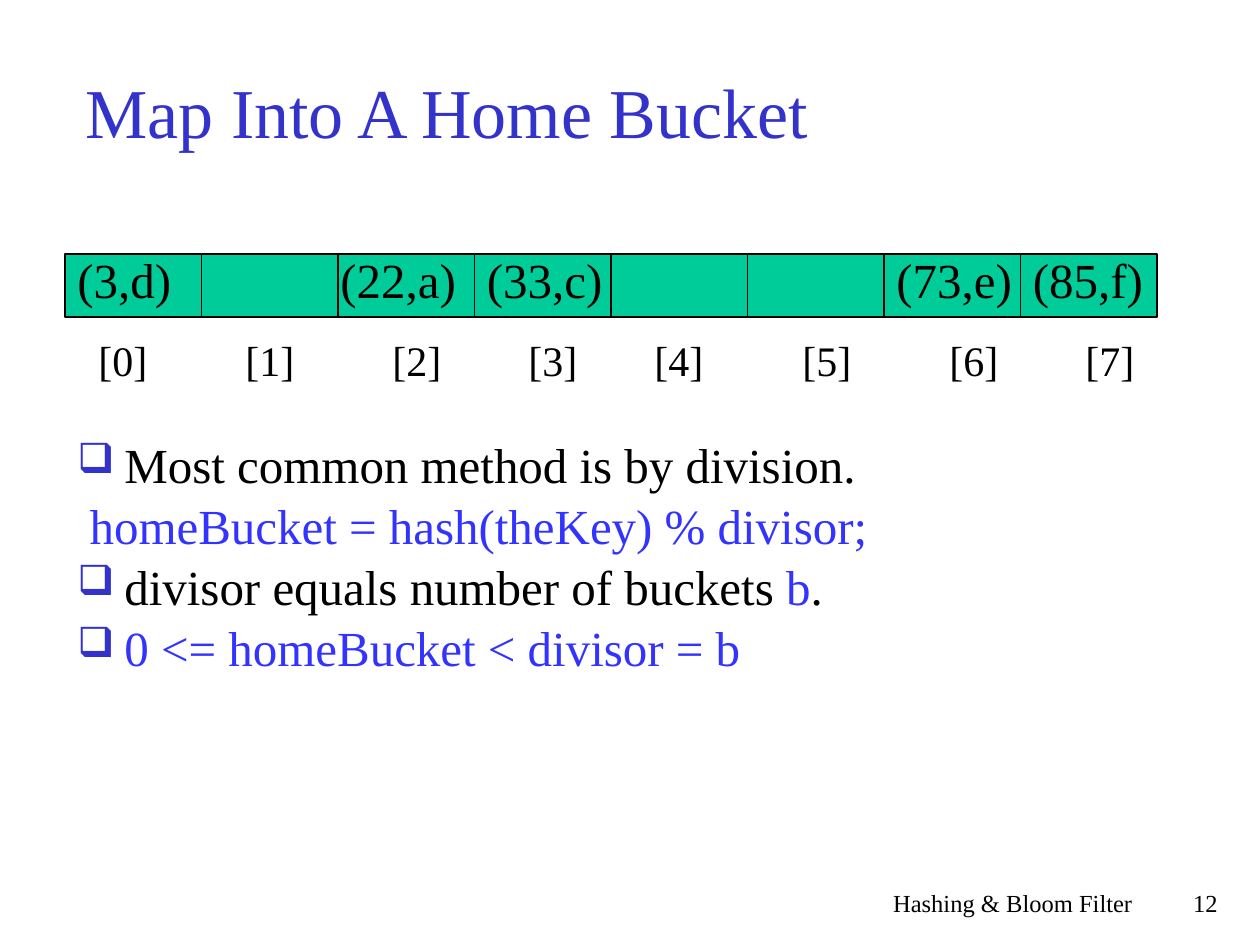
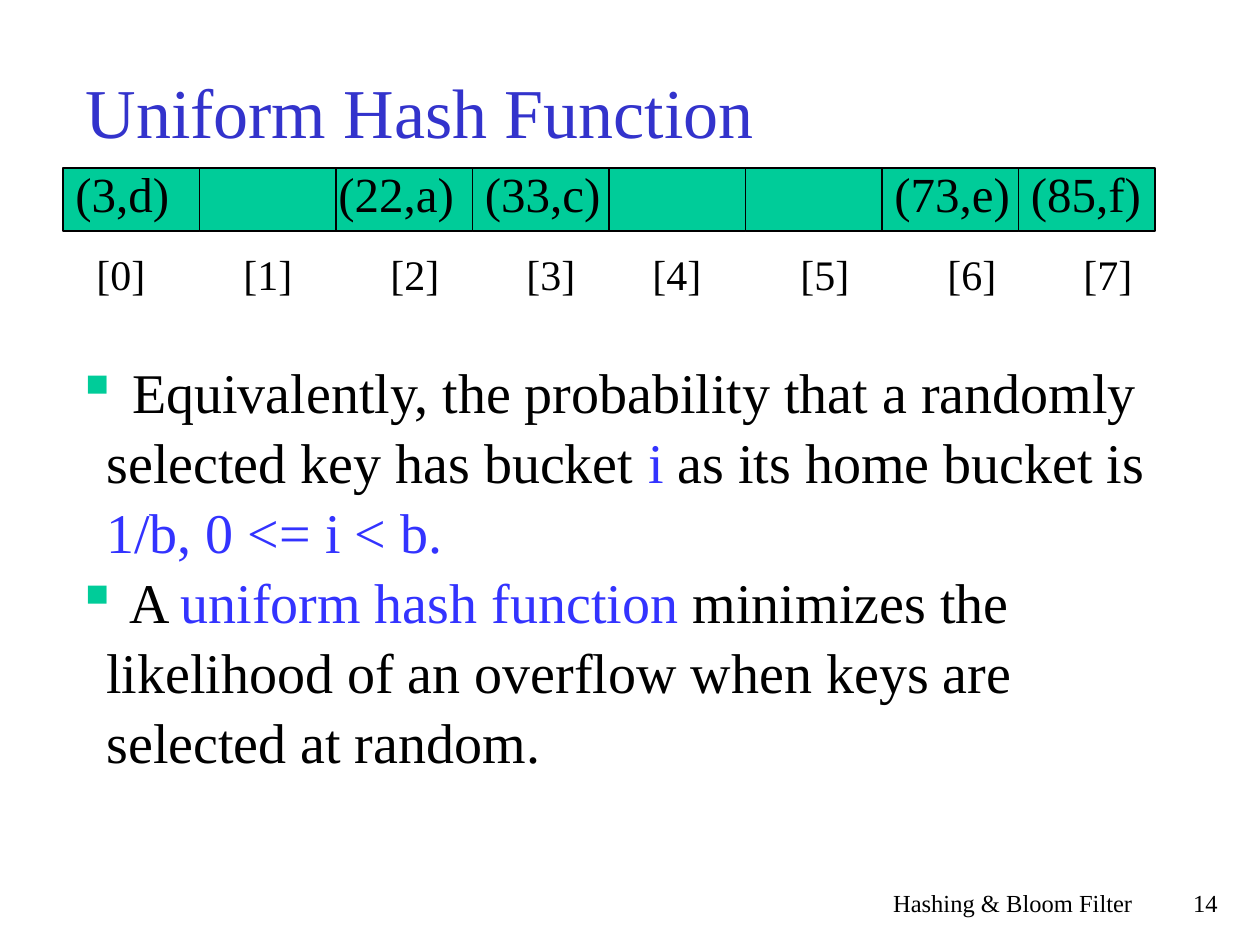
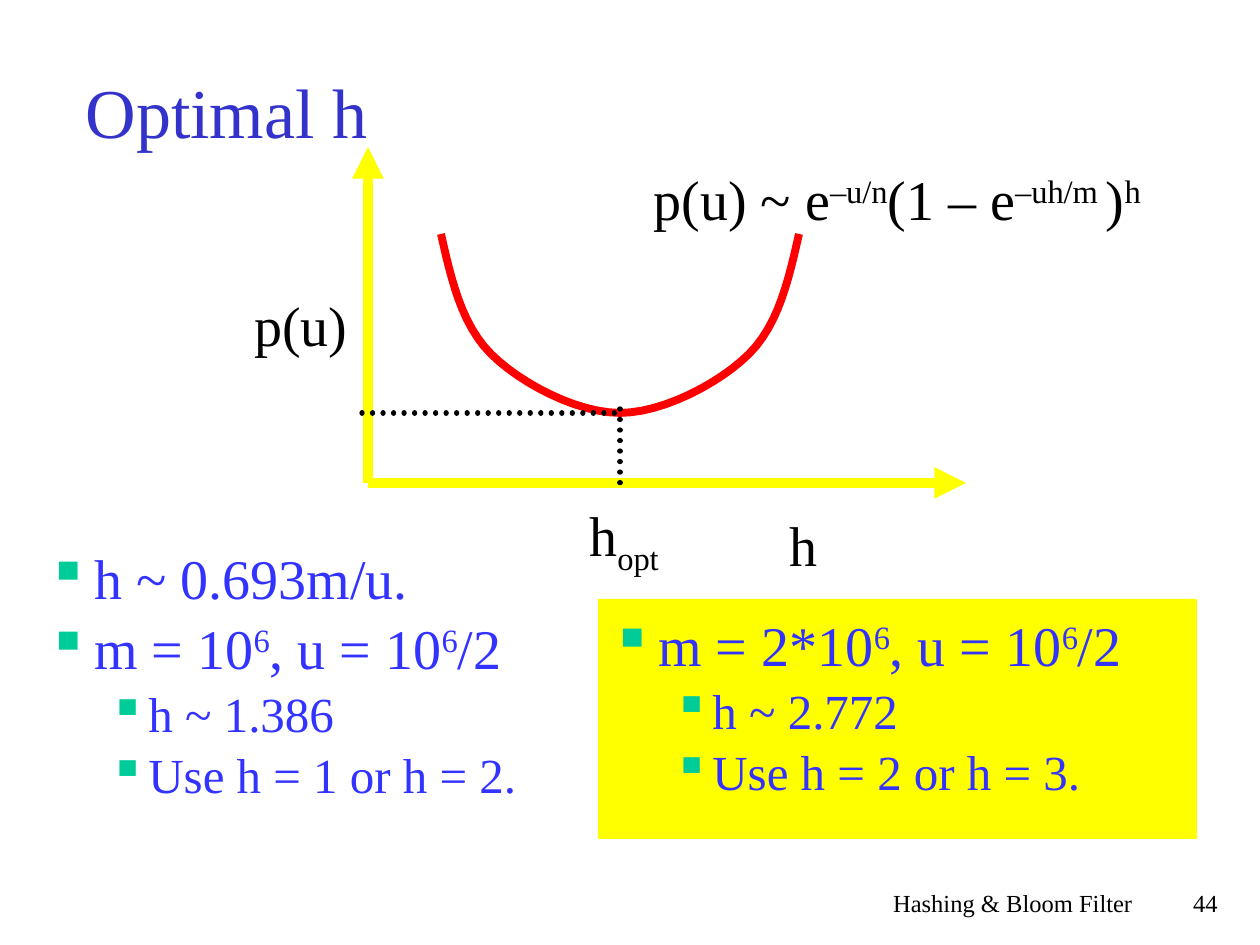
from lxml import etree
from pptx import Presentation
from pptx.dml.color import RGBColor
from pptx.enum.dml import MSO_LINE
from pptx.enum.shapes import MSO_CONNECTOR, MSO_SHAPE
from pptx.enum.text import MSO_ANCHOR, MSO_AUTO_SIZE, PP_ALIGN
from pptx.oxml.ns import qn
from pptx.util import Pt

RECTANGLE = MSO_SHAPE.RECTANGLE
STRAIGHT = MSO_CONNECTOR.STRAIGHT
ROUND_DOT = MSO_LINE.ROUND_DOT
TOP, MIDDLE = MSO_ANCHOR.TOP, MSO_ANCHOR.MIDDLE
LEFT, RIGHT = PP_ALIGN.LEFT, PP_ALIGN.RIGHT
NO_AUTOFIT = MSO_AUTO_SIZE.NONE

EMU_PER_PIXEL = 914400 / 126
FONT = "Times New Roman"
BLACK, WHITE, YELLOW, RED = "000000", "FFFFFF", "FFFF00", "FF0000"
TITLE_BLUE, TEXT_BLUE, GREEN = "3333CC", "3333FF", "00CC99"

TITLE_BOX = (73, 32, 1071, 157)
FOOTER_BOX = (746, 882, 399, 63)
NUMBER_BOX = (1144, 882, 86, 63)
FOOTER = "Hashing & Bloom Filter"
LINE_SPACING = 1.045
BODY_INSET_TOP = 9

STYLES = {
    "division": dict(left=48, hang=47, bullet="❑", colour=TITLE_BLUE, percent=85),
    "formula": dict(left=48, hang=47, bullet=None),
    "uniform": dict(left=30, hang=30, bullet="▪", colour=GREEN),
    "main": dict(left=48, hang=47, bullet="▪", colour=GREEN),
    "sub": dict(left=102, hang=39, bullet="▪", colour=GREEN, level=1),
}

BUCKET_COUNT, BUCKET_ROW_WIDTH, BUCKET_HEIGHT = 8, 1092, 63
ENTRIES = [(0, "(3,d)", 0), (2, "(22,a)", -10), (3, "(33,c)", 0),
           (6, "(73,e)", 0), (7, "(85,f)", 0)]
INDEX_OFFSETS = [21, 168, 315, 451, 577, 725, 872, 1008]

DIVISION_TEXT = [
    ("division", 28, [("Most common method is by division.", BLACK)]),
    ("formula", 28, [(" homeBucket = hash(theKey) % divisor;", TEXT_BLUE)]),
    ("division", 28, [("divisor equals number of buckets ", BLACK),
                      ("b", TEXT_BLUE), (".", BLACK)]),
    ("division", 28, [("0 <= homeBucket < divisor = b", TEXT_BLUE)]),
]
UNIFORM_TEXT = [
    ("uniform", 32, [
        (" Equivalently, the probability that a randomly selected key has bucket ", BLACK),
        ("i", TEXT_BLUE), (" as its home bucket is ", BLACK),
        ("1/b, 0 <= i < b.", TEXT_BLUE)]),
    ("uniform", 32, [
        (" A ", BLACK), ("uniform hash function", TEXT_BLUE),
        (" minimizes the likelihood of an overflow when keys are selected at random.", BLACK)]),
]


def example(bits, estimate, choice):
    return [
        ("main", 32, [(bits, TEXT_BLUE), ("6", TEXT_BLUE, 30), (", u = 10", TEXT_BLUE),
                      ("6", TEXT_BLUE, 30), ("/2", TEXT_BLUE)]),
        ("sub", 28, [(estimate, TEXT_BLUE)]),
        ("sub", 28, [(choice, TEXT_BLUE)]),
    ]


OPTIMUM = [("main", 32, [("h ~ 0.693m/u.", TEXT_BLUE)])]
PANELS = [
    ((34, 532, 536, 301), WHITE,
     OPTIMUM + example("m = 10", "h ~ 1.386", "Use h = 1 or h = 2.")),
    ((598, 599, 599, 240), YELLOW,
     example("m = 2*10", "h ~ 2.772", "Use h = 2 or h = 3.")),
]
PLOT_LABELS = [
    ((777, 504, 105, 79), [("h", BLACK)], True),
    ((242, 284, 136, 79), [("p(u)", BLACK)], True),
    ((577, 494, 105, 88), [("h", BLACK), ("opt", BLACK, -25)], True),
    ((641, 158, 513, 79), [("p(u) ~ e", BLACK), ("–u/n", BLACK, 30), ("(1 – e", BLACK),
                           ("–uh/m ", BLACK, 30), (")", BLACK), ("h", BLACK, 30)], False),
]
ORIGIN = (368, 483)
AXIS_TIPS = [(368, 147), (966, 483)]
MINIMUM = (620, 413)
GUIDES = [((620, 409), (620, 483)), ((362, 413), MINIMUM)]
FALLING_CURVES = [
    [(441, 234), (451, 278), (461, 324), (491, 354)],
    [(491, 354), (520, 383), (577, 413), MINIMUM],
]
CURVE_STEPS = 12


def px(pixels):
    return round(pixels * EMU_PER_PIXEL)


def rgb(value):
    return RGBColor.from_string(value)


def format_run(run, size, colour, baseline=0):
    run.font.name = FONT
    run.font.size = Pt(size)
    run.font.color.rgb = rgb(colour)
    if baseline:
        run.font._element.set("baseline", str(baseline * 1000))


def fill_paragraph(paragraph, size, pieces):
    for text, *look in pieces:
        run = paragraph.add_run()
        run.text = text
        format_run(run, size, *look)


def add_label(slide, box, size, pieces, align=LEFT, wrap=True):
    frame = slide.shapes.add_textbox(*map(px, box)).text_frame
    frame.word_wrap = wrap
    frame.paragraphs[0].alignment = align
    fill_paragraph(frame.paragraphs[0], size, pieces)


def add_bullet(paragraph, left, hang, bullet, colour=None, percent=100, level=0):
    paragraph.level = level
    properties = paragraph._p.get_or_add_pPr()
    properties.set("marL", str(px(left)))
    properties.set("indent", str(-px(hang)))
    if not bullet:
        etree.SubElement(properties, qn("a:buNone"))
        return
    bullet_colour = etree.SubElement(properties, qn("a:buClr"))
    etree.SubElement(bullet_colour, qn("a:srgbClr"), val=colour)
    etree.SubElement(properties, qn("a:buSzPct"), val=str(percent * 1000))
    etree.SubElement(properties, qn("a:buChar"), char=bullet)


def fill_body(frame, paragraphs):
    frame.word_wrap = True
    frame.vertical_anchor = TOP
    frame.margin_top = px(BODY_INSET_TOP)
    for position, (style, size, pieces) in enumerate(paragraphs):
        paragraph = frame.add_paragraph() if position else frame.paragraphs[0]
        paragraph.alignment = LEFT
        paragraph.line_spacing = LINE_SPACING
        add_bullet(paragraph, **STYLES[style])
        fill_paragraph(paragraph, size, pieces)


def add_rectangle(slide, box, fill, outline=None):
    rectangle = slide.shapes.add_shape(RECTANGLE, *map(px, box))
    rectangle.shadow.inherit = False
    rectangle.fill.solid()
    rectangle.fill.fore_color.rgb = rgb(fill)
    if outline:
        rectangle.line.color.rgb = rgb(outline)
        rectangle.line.width = Pt(1)
    else:
        rectangle.line.fill.background()
    return rectangle


def add_line(slide, start, end, colour, width, dotted=False, arrow=False):
    connector = slide.shapes.add_connector(STRAIGHT, *map(px, start + end))
    connector.line.color.rgb = rgb(colour)
    connector.line.width = Pt(width)
    properties = connector.element.spPr
    outline = properties.find(qn("a:ln"))
    if dotted:
        connector.line.dash_style = ROUND_DOT
        outline.set("cap", "rnd")
    if arrow:
        etree.SubElement(outline, qn("a:tailEnd"), type="triangle")
    etree.SubElement(properties, qn("a:effectLst"))


def add_slide(deck, heading, number):
    slide = deck.slides.add_slide(deck.slide_layouts[5])
    title = slide.shapes.title
    title.left, title.top, title.width, title.height = map(px, TITLE_BOX)
    frame = title.text_frame
    frame.text = heading
    frame.auto_size = NO_AUTOFIT
    frame.vertical_anchor = MIDDLE
    frame.paragraphs[0].alignment = LEFT
    format_run(frame.paragraphs[0].runs[0], 40, TITLE_BLUE)
    add_label(slide, NUMBER_BOX, 14, [(str(number), BLACK)], RIGHT)
    add_label(slide, FOOTER_BOX, 14, [(FOOTER, BLACK)], RIGHT)
    return slide


def add_body(slide, box, paragraphs):
    fill_body(slide.shapes.add_textbox(*map(px, box)).text_frame, paragraphs)


def add_buckets(slide, left, top):
    bucket_width = BUCKET_ROW_WIDTH / BUCKET_COUNT
    for index, offset in enumerate(INDEX_OFFSETS):
        add_rectangle(slide, (left + index * bucket_width, top, bucket_width, BUCKET_HEIGHT),
                      GREEN, BLACK)
        add_label(slide, (left + offset, top + 74, 94, 63), 24, [(f"[{index}]", BLACK)])
    for index, entry, shift in ENTRIES:
        add_label(slide, (left + index * bucket_width + shift, top - 11, 168, 72), 28,
                  [(entry, BLACK)])


def bezier_point(points, t):
    weights = ((1 - t) ** 3, 3 * t * (1 - t) ** 2, 3 * t * t * (1 - t), t ** 3)
    return tuple(sum(w * p[axis] for w, p in zip(weights, points)) for axis in (0, 1))


def add_probability_curve(slide):
    falling = [bezier_point(curve, step / CURVE_STEPS)
               for curve in FALLING_CURVES for step in range(CURVE_STEPS)]
    rising = [(2 * MINIMUM[0] - x, y) for x, y in reversed(falling)]
    points = [(px(x), px(y)) for x, y in falling + [MINIMUM] + rising]
    builder = slide.shapes.build_freeform(*points[0])
    builder.add_line_segments(points[1:], close=False)
    curve = builder.convert_to_shape()
    curve.shadow.inherit = False
    curve.fill.background()
    curve.line.color.rgb = rgb(RED)
    curve.line.width = Pt(4.5)


deck = Presentation()
deck.slide_width, deck.slide_height = px(1260), px(945)

home_bucket = add_slide(deck, "Map Into A Home Bucket", 12)
add_body(home_bucket, (64, 423, 1142, 428), DIVISION_TEXT)
add_buckets(home_bucket, 65, 254)

uniform_hash = add_slide(deck, "Uniform Hash Function", 14)
add_body(uniform_hash, (64, 346, 1131, 444), UNIFORM_TEXT)
add_buckets(uniform_hash, 63, 168)

optimal_h = add_slide(deck, "Optimal h", 44)
for box, fill, paragraphs in PANELS:
    fill_body(add_rectangle(optimal_h, box, fill).text_frame, paragraphs)
for tip in AXIS_TIPS:
    add_line(optimal_h, ORIGIN, tip, YELLOW, 6, arrow=True)
for box, pieces, wrap in PLOT_LABELS:
    add_label(optimal_h, box, 32, pieces, wrap=wrap)
add_probability_curve(optimal_h)
for start, end in GUIDES:
    add_line(optimal_h, start, end, BLACK, 3, dotted=True)

deck.save("out.pptx")
